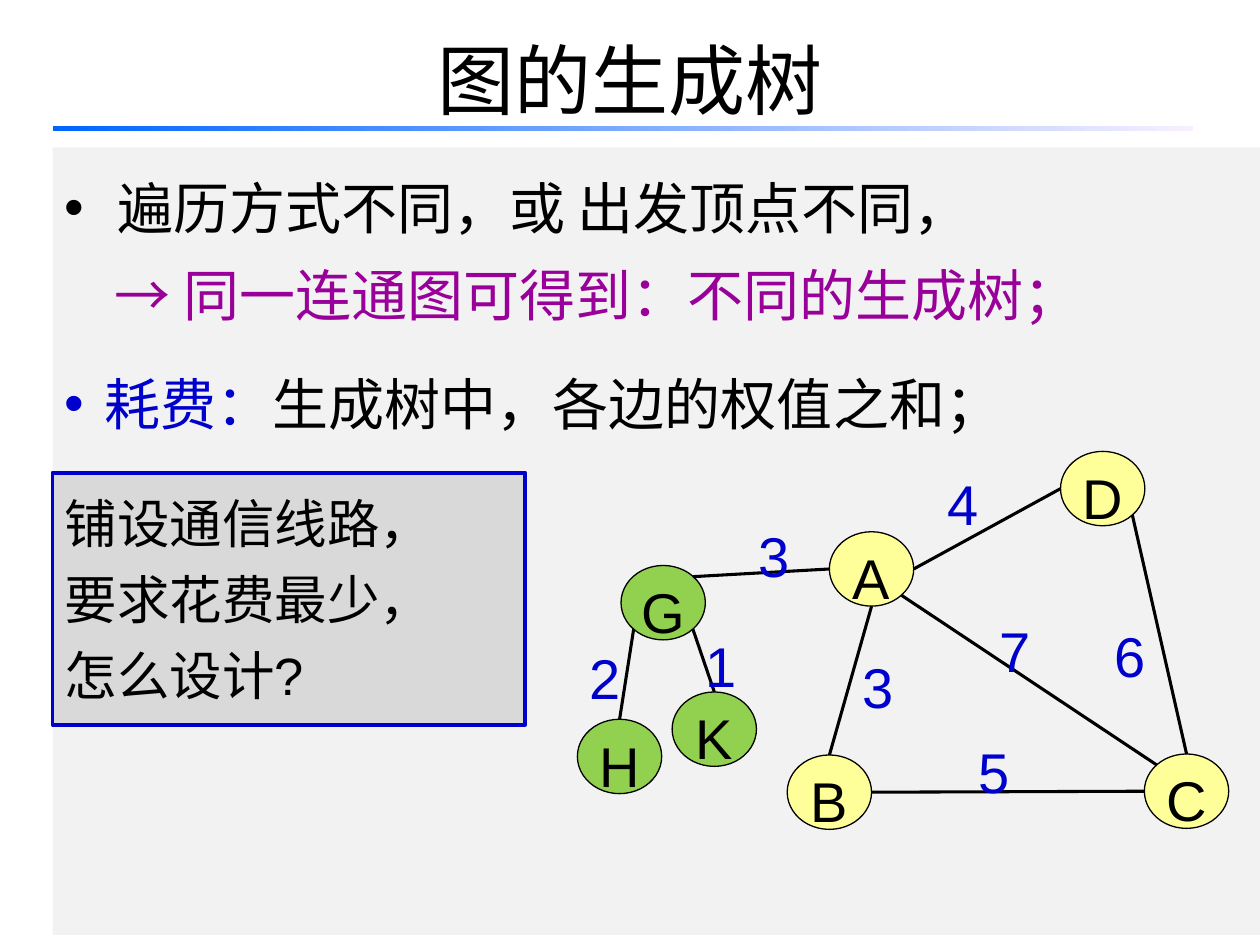
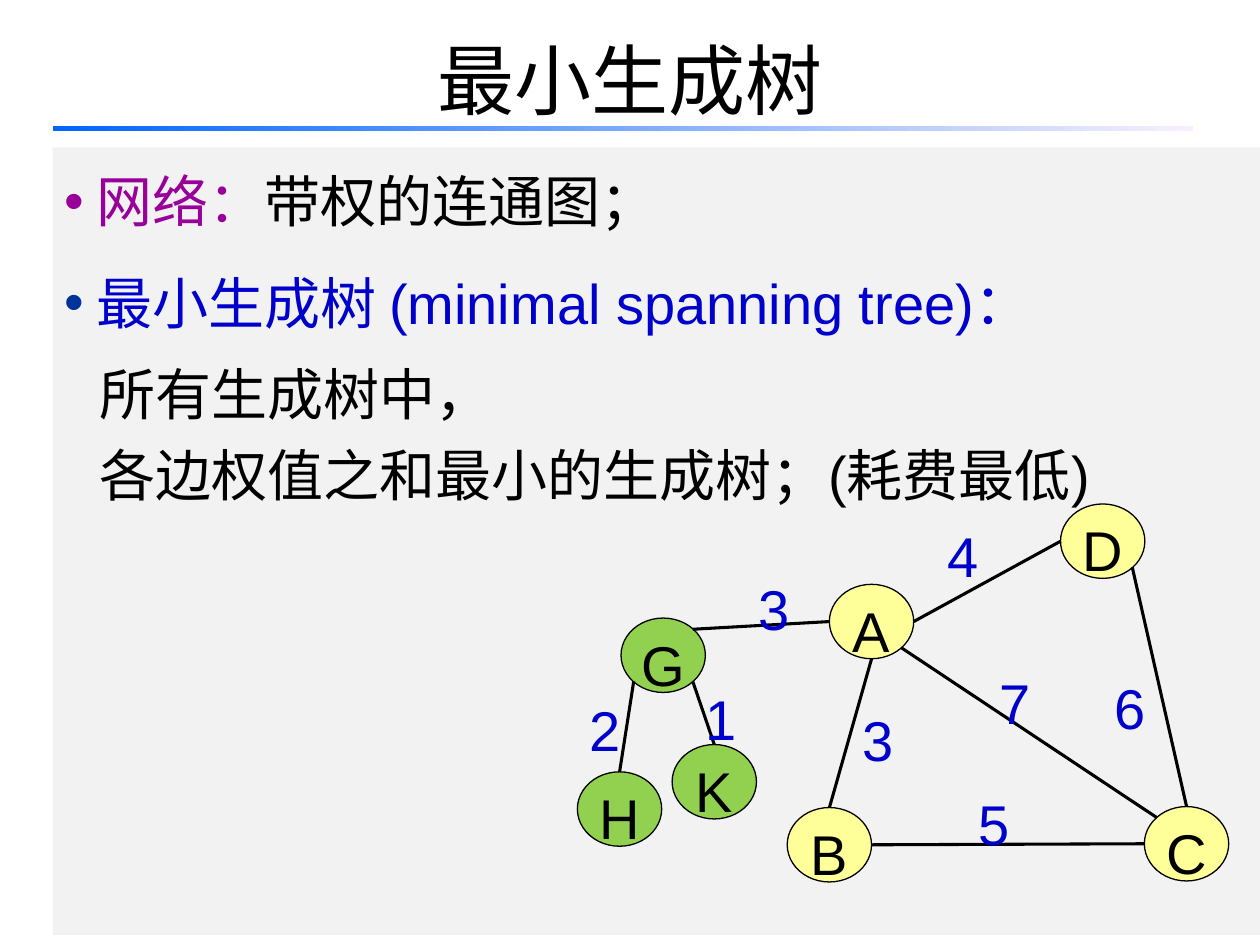
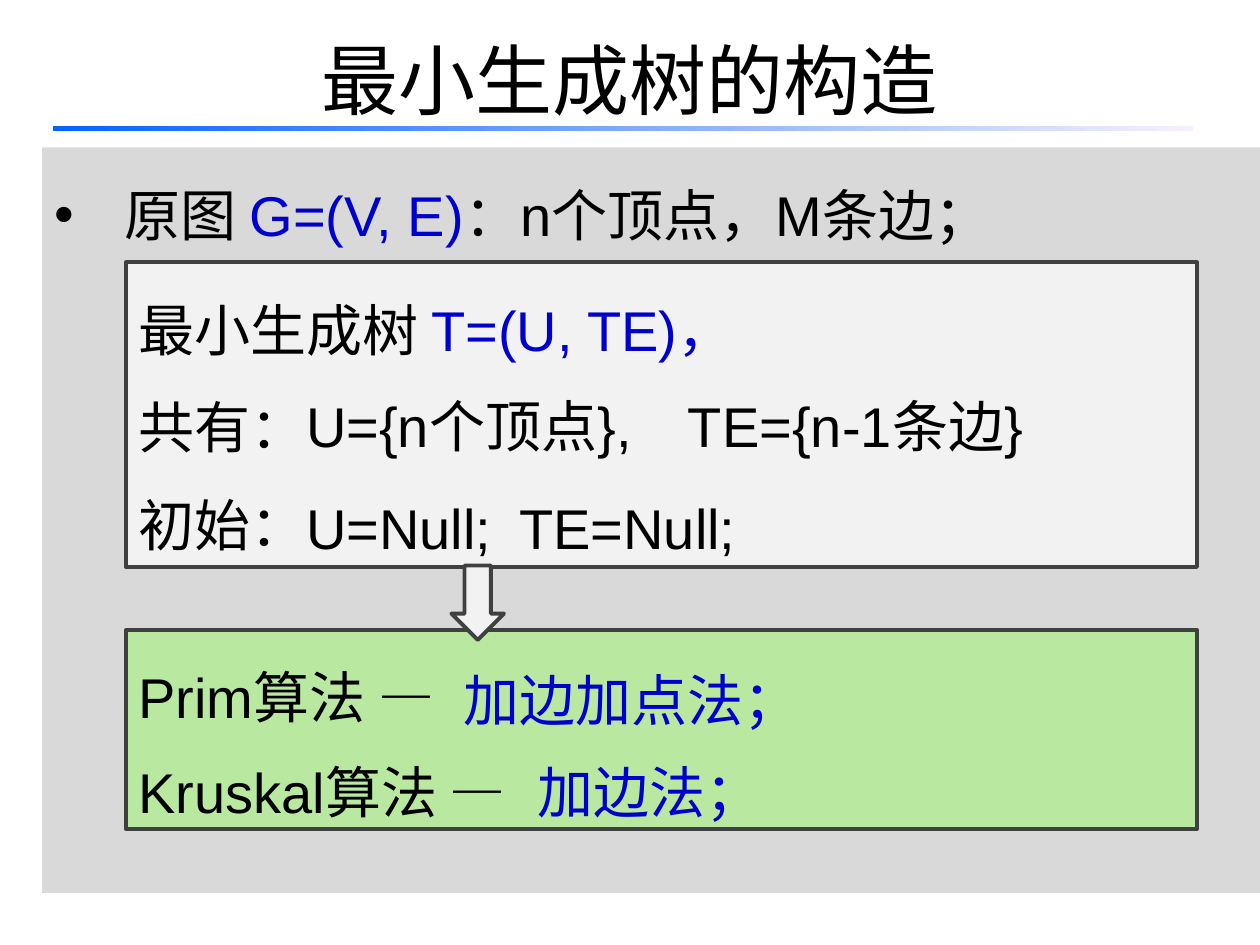
"""Three slides on spanning trees and minimal spanning trees."""
import pptx
import pptx.dml.color
import pptx.enum.dml
import pptx.enum.lang
import pptx.enum.shapes
import pptx.enum.text
import pptx.util
from lxml import etree
from pptx.dml.color import RGBColor
from pptx.oxml.ns import qn
from pptx.util import Cm, Pt

BLACK = RGBColor(0x00, 0x00, 0x00)
BLUE = RGBColor(0x00, 0x00, 0xCC)
NAVY = RGBColor(0x00, 0x33, 0x99)
PURPLE = RGBColor(0x99, 0x00, 0x99)
PALE = RGBColor(0xF2, 0xF2, 0xF2)
GREY = RGBColor(0xD9, 0xD9, 0xD9)
DARK = RGBColor(0x40, 0x40, 0x40)
YELLOW = RGBColor(0xFF, 0xFF, 0x99)
GREEN = RGBColor(0x92, 0xD0, 0x50)
MINT = RGBColor(0xB9, 0xE9, 0xA1)
RULE_START = RGBColor(0x00, 0x66, 0xFF)
RULE_END = RGBColor(0xF7, 0xEF, 0xFF)

SHAPE = pptx.enum.shapes.MSO_SHAPE
ANCHOR = pptx.enum.text.MSO_ANCHOR
CENTER = pptx.enum.text.PP_ALIGN.CENTER
FONT = {
    "name": "Arial",
    "language_id": pptx.enum.lang.MSO_LANGUAGE_ID.SIMPLIFIED_CHINESE,
}


def write(sp, paragraphs, size=32, anchor=ANCHOR.TOP, wrap=True):
    tf = sp.text_frame
    tf.word_wrap = wrap
    tf.vertical_anchor = anchor
    for i, (runs, fmt) in enumerate(paragraphs):
        p = tf.paragraphs[0] if i == 0 else tf.add_paragraph()
        fmt = dict(fmt)
        margin, bullet, tab = (fmt.pop(k, None) for k in ("margin", "bullet", "tab"))
        pPr = p._p.get_or_add_pPr()
        if margin:
            pPr.set("marL", str(Cm(margin)))
            pPr.set("indent", str(-Cm(margin) if bullet is not None else 0))
        if bullet is not None:
            clr = etree.SubElement(pPr, qn("a:buClr"))
            etree.SubElement(clr, qn("a:srgbClr"), val=str(bullet))
            etree.SubElement(pPr, qn("a:buFont"), typeface="Arial")
            etree.SubElement(pPr, qn("a:buChar"), char="•")
        if tab:
            tabs = etree.SubElement(pPr, qn("a:tabLst"))
            etree.SubElement(tabs, qn("a:tab"), pos=str(Cm(tab)), algn="l")
        for key, value in {"alignment": pptx.enum.text.PP_ALIGN.LEFT, **fmt}.items():
            setattr(p, key, value)
        for text, color in runs:
            r = p.add_run()
            r.text = text
            for key, value in {**FONT, "size": Pt(size)}.items():
                setattr(r.font, key, value)
            r.font.color.rgb = color


def shape(s, kind, box, fill, line=None, width=2.25):
    sp = s.shapes.add_shape(kind, *map(Cm, box))
    sp.shadow.inherit = False
    sp.fill.solid()
    sp.fill.fore_color.rgb = fill
    if line is None:
        sp.line.fill.background()
    else:
        sp.line.color.rgb = line
        sp.line.width = Pt(width)
    return sp


prs = pptx.Presentation()
prs.slide_width, prs.slide_height = Cm(25.4), Cm(19.05)

PAGES = [
    ("图的生成树", (1.06, 2.97, 24.34, 15.88), PALE, [
        ([("遍历方式不同，或 出发顶点不同，", BLACK)],
         {"margin": 1.05, "bullet": BLACK, "line_spacing": 1.3}),
        ([("→ 同一连通图可得到：不同的生成树；", PURPLE)],
         {"margin": 1, "line_spacing": 1.3}),
        ([("耗费：", BLUE), ("生成树中，各边的权值之和；", BLACK)],
         {"margin": 0.8, "bullet": BLUE, "line_spacing": 1.3, "space_before": Pt(12)}),
    ]),
    ("最小生成树", (1.06, 2.97, 24.34, 15.88), PALE, [
        ([("网络：", PURPLE), ("带权的连通图；", BLACK)],
         {"margin": 0.63, "bullet": PURPLE, "line_spacing": 1.2}),
        ([("最小生成树 (minimal spanning tree)：", BLUE)],
         {"margin": 0.63, "bullet": NAVY, "line_spacing": 1.2, "space_before": Pt(12)}),
        ([("所有生成树中，", BLACK)],
         {"margin": 0.69, "line_spacing": 1.2, "space_before": Pt(6)}),
        ([("各边权值之和最小的生成树；(耗费最低)", BLACK)],
         {"margin": 0.69, "line_spacing": 1.2}),
    ]),
    ("最小生成树的构造", (0.85, 2.97, 24.55, 15.03), GREY, [
        ([("原图 ", BLACK), ("G=(V, E)", BLUE), ("：n个顶点，M条边；", BLACK)],
         {"margin": 1.42, "bullet": BLACK, "line_spacing": 1.4}),
    ]),
]

slides = []
for title, box, fill, paragraphs in PAGES:
    s = prs.slides.add_slide(prs.slide_layouts[6])
    slides.append(s)
    write(shape(s, SHAPE.RECTANGLE, box, fill), paragraphs)
    sp = s.shapes.add_textbox(Cm(1.27), Cm(0), Cm(22.86), Cm(3.18))
    write(sp, [([(title, BLACK)], {"alignment": CENTER})], 44, ANCHOR.MIDDLE)
    rule = shape(s, SHAPE.RECTANGLE, (1.06, 2.54, 22.99, 0.1), RULE_START)
    rule.fill.gradient()
    rule.fill.gradient_angle = 0
    for stop, position, color in zip(rule.fill.gradient_stops, (0, 1), (RULE_START, RULE_END)):
        stop.position = position
        stop.color.rgb = color

NODE_W, NODE_H = 1.7, 1.5
NODES = {
    "A": (16.72, 10.72, YELLOW), "B": (15.87, 15.22, YELLOW),
    "C": (23.07, 15.2, YELLOW), "D": (21.38, 9.1, YELLOW),
    "G": (12.52, 11.4, GREEN), "H": (11.64, 14.5, GREEN),
    "K": (13.55, 13.95, GREEN),
}
SITES = {
    "top": (0.5, 0), "bottom": (0.5, 1), "left": (0, 0.5), "right": (1, 0.5),
    "top left": (0.15, 0.15), "top right": (0.85, 0.15),
    "bottom left": (0.15, 0.85), "bottom right": (0.85, 0.85),
}
EDGES = [
    ("D", "bottom right", "C", "top", "6", 22.22, 12.06),
    ("C", "left", "B", "right", "5", 19.48, 14.4),
    ("D", "left", "A", "right", "4", 18.85, 9),
    ("B", "top", "A", "bottom", "3", 17.14, 12.7),
    ("G", "top right", "A", "left", "3", 15.04, 10.06),
    ("H", "top", "G", "bottom left", "2", 11.63, 12.5),
    ("K", "top", "G", "bottom right", "1", 13.97, 12.27),
    ("C", "top left", "A", "bottom right", "7", 19.89, 11.96),
]

for s, drop in zip(slides, (0, 1.06)):
    for name, (x, y, fill) in NODES.items():
        sp = shape(s, SHAPE.OVAL, (x, y + drop, NODE_W, NODE_H), fill, BLACK, 0.75)
        write(sp, [([(name, BLACK)], {"alignment": CENTER, "line_spacing": 1.25})],
              anchor=ANCHOR.MIDDLE, wrap=False)
    for start, start_site, end, end_site, weight, x, y in EDGES:
        ends = []
        for node, site in ((start, start_site), (end, end_site)):
            across, down = SITES[site]
            ends += [Cm(NODES[node][0] + across * NODE_W),
                     Cm(NODES[node][1] + down * NODE_H + drop)]
        edge = s.shapes.add_connector(pptx.enum.shapes.MSO_CONNECTOR.STRAIGHT, *ends)
        edge.line.color.rgb = BLACK
        edge.line.width = Pt(1.75)
        etree.SubElement(edge._element.spPr, qn("a:effectLst"))
        sp = s.shapes.add_textbox(Cm(x), Cm(y + drop), Cm(1.9), Cm(1.8))
        write(sp, [([(weight, BLUE)], {"line_spacing": 1.25})])

question = shape(slides[0], SHAPE.RECTANGLE, (1.06, 9.53, 9.53, 5.08), GREY, BLUE)
write(question, [([(text, BLACK)], {"line_spacing": 1.2})
                 for text in ("铺设通信线路，", "要求花费最少，", "怎么设计?")], 30)

s = slides[2]
methods = shape(s, SHAPE.RECTANGLE, (2.54, 12.7, 21.59, 4.02), MINT, DARK)
write(methods, [([(text, BLACK)], {"line_spacing": 1.4})
                for text in ("Prim算法 —", "Kruskal算法 —")])
tree = shape(s, SHAPE.RECTANGLE, (2.54, 5.29, 21.59, 6.14), PALE, DARK)
write(tree, [
    ([("最小生成树 ", BLACK), ("T=(U, TE)，", BLUE)], {"line_spacing": 1.4}),
    ([("共有：", BLACK)], {"line_spacing": 1.45}),
    ([("初始：", BLACK)], {"line_spacing": 1.45}),
])
shape(s, SHAPE.DOWN_ARROW, (9.1, 11.4, 1.06, 1.5), PALE, DARK)

NOTES = [
    ((5.92, 7.42, 17.98, 1.96), "U={n个顶点},\tTE={n-1条边}", BLACK, {"line_spacing": 1.25, "tab": 7.7}),
    ((5.92, 9.22, 13.97, 2.24), "U=Null;\tTE=Null;", BLACK, {"line_spacing": 1.45, "tab": 4.3}),
    ((9.1, 12.95, 8, 1.78), "加边加点法；", BLUE, {"line_spacing": 1.25}),
    ((10.59, 14.6, 6, 1.93), "加边法；", BLUE, {"line_spacing": 1.4}),
]
for box, text, color, fmt in NOTES:
    write(s.shapes.add_textbox(*map(Cm, box)), [([(text, color)], fmt)])

prs.save("out.pptx")
